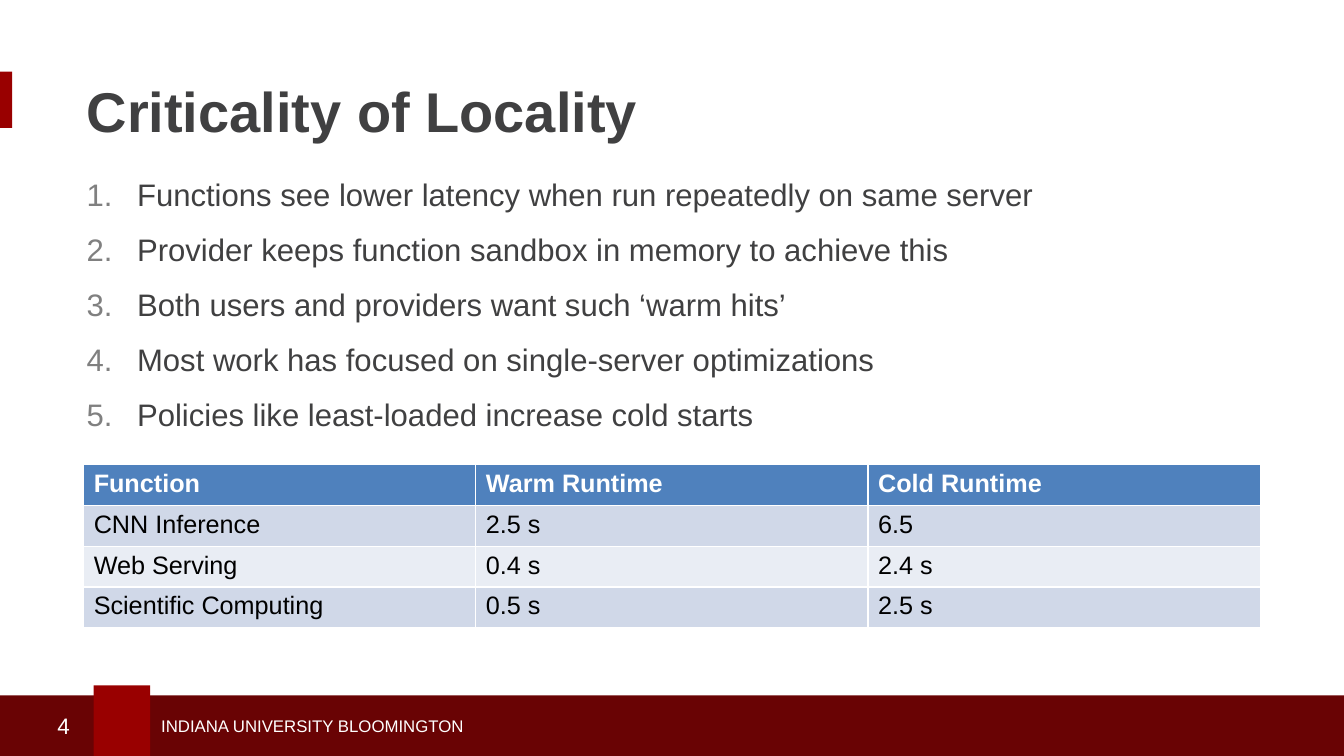
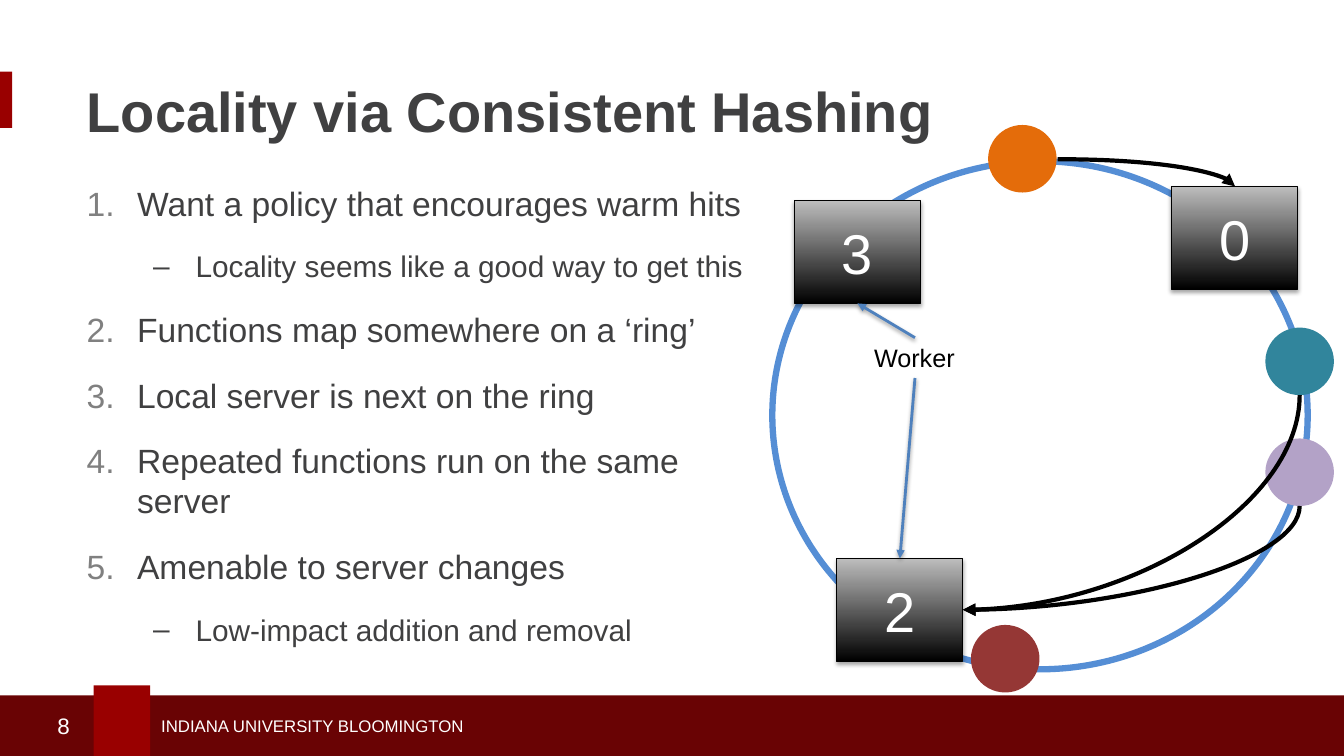
from lxml import etree
from pptx import Presentation
from pptx.dml.color import RGBColor
from pptx.enum.shapes import MSO_CONNECTOR as Link, MSO_SHAPE as Preset
from pptx.enum.text import MSO_ANCHOR as Anchor, MSO_AUTO_SIZE as AutoSize, PP_ALIGN as Align
from pptx.oxml.ns import qn
from pptx.util import Inches, Pt

FONT = "Arial"
WHITE = "FFFFFF"
BLACK = "000000"
GREY = "404041"
BULLET_GREY = "808080"
CRIMSON = "990000"
DARK_RED = "690304"
BLUE = "4F81BD"
RING_BLUE = "558ED5"


def colour(value):
    return RGBColor.from_string(value)


def write(para, text, size=18, color=GREY, bold=False, align=Align.LEFT):
    para.alignment = align
    span = para.add_run()
    span.text = text
    span.font.name = FONT
    span.font.size = Pt(size)
    span.font.bold = bold
    span.font.color.rgb = colour(color)


deck = Presentation()
deck.slide_width = Inches(13.33)
deck.slide_height = Inches(7.5)

bands = [
    (-0.04, 6.9, 13.46, 0.66, DARK_RED),
    (0.93, 6.8, 0.56, 0.77, CRIMSON),
    (0, 0.71, 0.12, 0.56, CRIMSON),
]
contents = [
    ("Criticality of Locality", "4", (11.69, 2.69), 0.8, 22.2, [
        (0, "Functions see lower latency when run repeatedly on same server"),
        (0, "Provider keeps function sandbox in memory to achieve this"),
        (0, "Both users and providers want such ‘warm hits’"),
        (0, "Most work has focused on single-server optimizations"),
        (0, "Policies like least-loaded increase cold starts"),
    ]),
    ("Locality via Consistent Hashing", "8", (6.84, 4.72), 1.0, 24, [
        (0, "Want a policy that encourages warm hits"),
        (1, "Locality seems like a good way to get this"),
        (0, "Functions map somewhere on a ‘ring’"),
        (0, "Local server is next on the ring"),
        (0, "Repeated functions run on the same server"),
        (0, "Amenable to server changes"),
        (1, "Low-impact addition and removal"),
    ]),
]

for heading, number, (width, height), spacing, size, items in contents:
    page = deck.slides.add_slide(deck.slide_layouts[1])
    title, body = page.placeholders
    title.left, title.top = Inches(0.76), Inches(0.58)
    title.width, title.height = Inches(11.67), Inches(1.02)
    title.text_frame.auto_size = AutoSize.NONE
    title.text_frame.vertical_anchor = Anchor.MIDDLE
    write(title.text_frame.paragraphs[0], heading, size=40, bold=True)

    body.left, body.top = Inches(0.76), Inches(1.76)
    body.width, body.height = Inches(width), Inches(height)
    frame = body.text_frame
    frame.auto_size = AutoSize.NONE
    for index, (level, text) in enumerate(items):
        para = frame.add_paragraph() if index else frame.paragraphs[0]
        write(para, text, size=21.3 if level else size)
        para.level = level
        para.line_spacing = spacing
        para.space_before = Pt(0)
        para.space_after = Pt(18)
        props = para._p.get_or_add_pPr()
        margin, indent = (1.08, -0.42) if level else (0.5, -0.5)
        props.set("marL", str(Inches(margin)))
        props.set("indent", str(Inches(indent)))
        tint = etree.SubElement(props, qn("a:buClr"))
        etree.SubElement(tint, qn("a:srgbClr"), val=GREY if level else BULLET_GREY)
        etree.SubElement(props, qn("a:buFont"), typeface=FONT)
        if level:
            etree.SubElement(props, qn("a:buChar"), char="–")
        else:
            etree.SubElement(props, qn("a:buAutoNum"), type="arabicPeriod")

    for left, top, wide, high, fill in bands:
        band = page.shapes.add_shape(
            Preset.RECTANGLE, Inches(left), Inches(top), Inches(wide), Inches(high))
        band.shadow.inherit = False
        band.fill.solid()
        band.fill.fore_color.rgb = colour(fill)
        band.line.fill.background()

    labels = [
        (1.5, 7.05, 5.27, 0.3, "INDIANA UNIVERSITY BLOOMINGTON", 12, Align.LEFT),
        (0.02, 7, 0.77, 0.4, number, 16, Align.RIGHT),
    ]
    for left, top, wide, high, text, points, align in labels:
        box = page.shapes.add_textbox(Inches(left), Inches(top), Inches(wide), Inches(high))
        box.text_frame.word_wrap = True
        box.text_frame.vertical_anchor = Anchor.MIDDLE
        write(box.text_frame.paragraphs[0], text, size=points, color=WHITE, align=align)

runtime_page, ring_page = deck.slides

runtimes = [
    ("Function", "Warm Runtime", "Cold Runtime"),
    ("CNN Inference", "2.5 s", "6.5"),
    ("Web Serving", "0.4 s", "2.4 s"),
    ("Scientific Computing", "0.5 s", "2.5 s"),
]
row_fills = [BLUE, "D0D8E8", "E9EDF4", "D0D8E8"]
table = runtime_page.shapes.add_table(
    4, 3, Inches(0.83), Inches(4.61), Inches(11.67), Inches(1.62)).table
for row, (values, fill) in enumerate(zip(runtimes, row_fills)):
    for column, value in enumerate(values):
        cell = table.cell(row, column)
        cell.fill.solid()
        cell.fill.fore_color.rgb = colour(fill)
        write(cell.text_frame.paragraphs[0], value,
              color=BLACK if row else WHITE, bold=row == 0)

shapes = ring_page.shapes
shadows = []
arrows = []

ring = shapes.add_shape(Preset.OVAL, Inches(7.66), Inches(1.6), Inches(5.31), Inches(5.04))
ring.shadow.inherit = False
ring.fill.background()
ring.line.color.rgb = colour(RING_BLUE)
ring.line.width = Pt(4.5)

servers = {}
for name, left, top in [("3", 7.88, 1.99), ("0", 11.62, 1.85), ("2", 8.3, 5.54)]:
    server = shapes.add_shape(
        Preset.RECTANGLE, Inches(left), Inches(top), Inches(1.25), Inches(1.02))
    server.fill.gradient()
    server.fill.gradient_angle = 90
    for stop, position, shade in zip(server.fill.gradient_stops, (0, 1), (BLACK, "BDBDBD")):
        stop.position = position
        stop.color.rgb = colour(shade)
    server.line.color.rgb = colour(BLACK)
    server.line.width = Pt(0.75)
    server.text_frame.vertical_anchor = Anchor.MIDDLE
    write(server.text_frame.paragraphs[0], name, size=40, color=WHITE, align=Align.CENTER)
    servers[name] = server
    shadows.append((server, 35000, 1.8))

worker = shapes.add_textbox(Inches(8.57), Inches(3.35), Inches(1.01), Inches(0.4))
worker.text_frame.word_wrap = False
write(worker.text_frame.paragraphs[0], "Worker", color=BLACK)

for start_side, name, end_side in [(0, "3", 2), (2, "2", 0)]:
    pointer = shapes.add_connector(Link.STRAIGHT, 0, 0, 0, 0)
    pointer.begin_connect(worker, start_side)
    pointer.end_connect(servers[name], end_side)
    arrows.append((pointer, BLUE, 2))
    shadows.append((pointer, 38000, 1.6))

for left, top, fill in [(9.8, 1.24, "E46C0A"), (12.55, 3.25, "31859C"),
                        (9.63, 6.2, "953735"), (12.55, 4.35, "B3A2C7")]:
    function = shapes.add_shape(
        Preset.OVAL, Inches(left), Inches(top), Inches(0.68), Inches(0.67))
    function.shadow.inherit = False
    function.fill.solid()
    function.fill.fore_color.rgb = colour(fill)
    function.line.fill.background()

for x1, y1, x2, y2, turn in [(10.49, 1.58, 12.25, 1.85, 0),
                             (12.89, 3.92, 9.55, 6.05, 90),
                             (12.89, 5.02, 9.55, 6.05, 90)]:
    wide, high = abs(x2 - x1), abs(y2 - y1)
    if turn:
        wide, high = high, wide
    left, top = (x1 + x2 - wide) / 2, (y1 + y2 - high) / 2
    curve = shapes.add_connector(
        Link.CURVE, Inches(left), Inches(top), Inches(left + wide), Inches(top + high))
    curve._element.spPr.find(qn("a:prstGeom")).set("prst", "curvedConnector2")
    curve._element.spPr.find(qn("a:xfrm")).set("rot", str(turn * 60000))
    arrows.append((curve, BLACK, 3))

for arrow, shade, weight in arrows:
    arrow.line.color.rgb = colour(shade)
    arrow.line.width = Pt(weight)
    props = arrow._element.spPr
    etree.SubElement(props.find(qn("a:ln")), qn("a:tailEnd"), type="triangle")
    etree.SubElement(props, qn("a:effectLst"))

for shape, alpha, distance in shadows:
    if shape not in [arrow for arrow, _, _ in arrows]:
        shape.shadow.inherit = False
    effects = shape._element.spPr.find(qn("a:effectLst"))
    shadow = etree.SubElement(
        effects, qn("a:outerShdw"), blurRad=str(Pt(3.1)), dist=str(Pt(distance)),
        dir="5400000", rotWithShape="0")
    shade = etree.SubElement(shadow, qn("a:srgbClr"), val=BLACK)
    etree.SubElement(shade, qn("a:alpha"), val=str(alpha))

deck.save("out.pptx")
